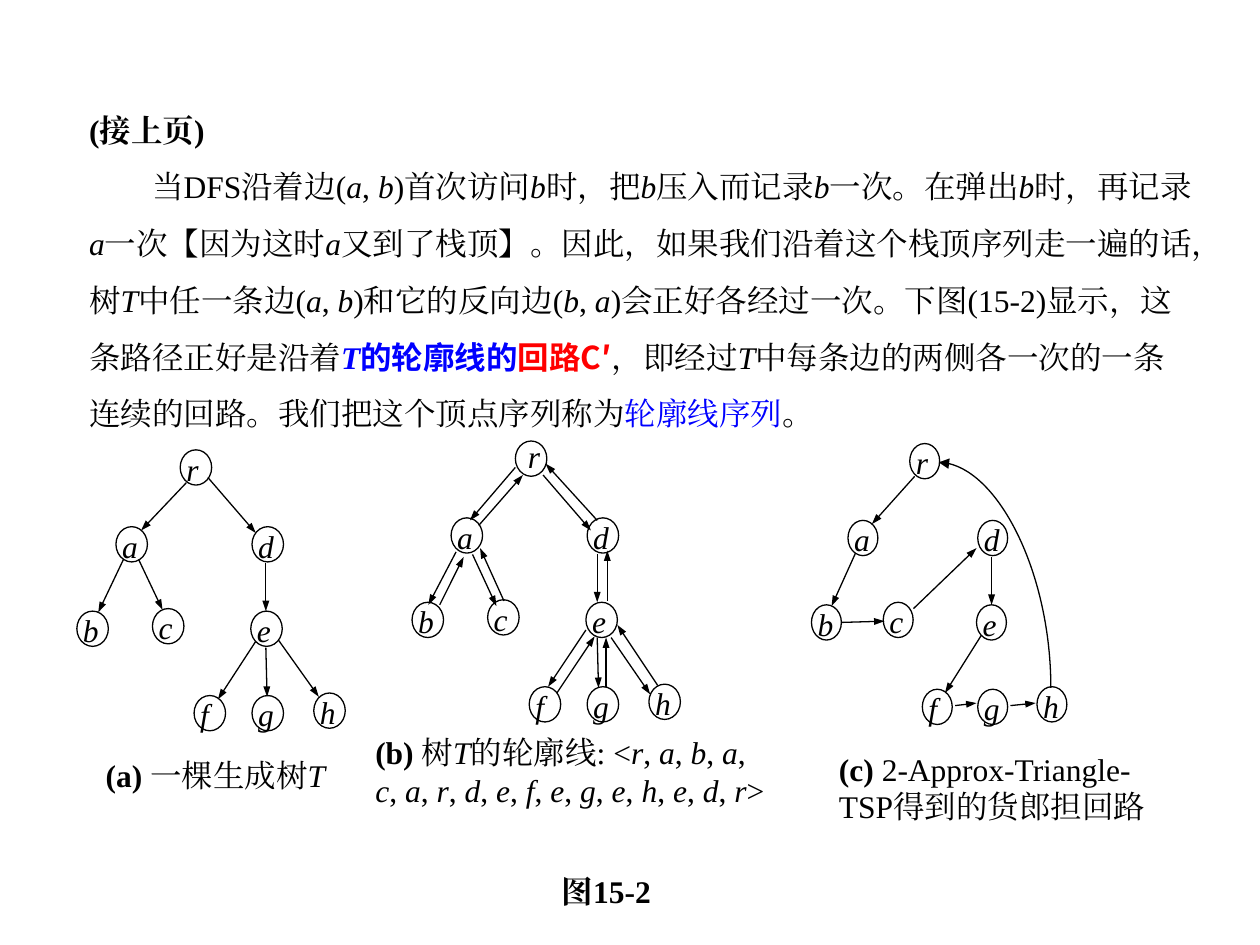
from dataclasses import dataclass

from lxml.etree import SubElement
from pptx import Presentation
from pptx.dml.color import RGBColor
from pptx.enum.shapes import MSO_CONNECTOR, MSO_SHAPE
from pptx.enum.text import MSO_ANCHOR
from pptx.oxml.ns import qn
from pptx.util import Emu, Pt


@dataclass(frozen=True)
class Theme:
    black: RGBColor = RGBColor(0, 0, 0)
    blue: RGBColor = RGBColor(0, 0, 255)
    red: RGBColor = RGBColor(255, 0, 0)
    serif: str = "Times New Roman"
    sans: str = "Noto Sans CJK SC"
    text_size: Pt = Pt(18)
    line_width: Pt = Pt(0.75)


THEME = Theme()
PX = 9144
SLIDE_SIZE = (1000, 750)
BOLD = {"bold": True}
BLUE = {"color": THEME.blue}

BODY_BOX = (61, 68, 897, 277)
BODY = [
    [("(接上页)", BOLD)],
    [
        ("当DFS沿着边(*a*, *b*)首次访问*b*时，把*b*压入而记录*b*一次。"
         "在弹出*b*时，再记录*a*一次【因为这时*a*又到了栈顶】。"
         "因此，如果我们沿着这个栈顶序列走一遍的话，树*T*中任一条边(*a*, *b*)"
         "和它的反向边(*b*, *a*)会正好各经过一次。"
         "下图(15-2)显示，这条路径正好是沿着", {}),
        ("*T*", BOLD | BLUE),
        ("的轮廓线的", BOLD | BLUE | {"name": THEME.sans}),
        ("回路C′", BOLD | {"color": THEME.red, "name": THEME.sans}),
        ("，即经过*T*中每条边的两侧各一次的一条连续的回路。"
         "我们把这个顶点序列称为", {}),
        ("轮廓线序列", BLUE),
        ("。", {}),
    ],
]
TITLE_BOX = (436, 687, 173, 40)
TITLE = [[("图15-2", BOLD)]]

NODES = {
    "r": (143, 357), "a": (92, 418), "d": (200, 418),
    "b": (61, 485), "c": (121, 483), "e": (199, 485),
    "h": (249, 550), "g": (200, 552), "f": (154, 552),
}
NODE_SIZE = (25, 28)
LABEL_SIZE = (35, 40)
LABEL_OFFSET = (-5, -5)
TOUR = "rabacardefegehedr"

FIGURES = [
    {
        "scale": 1, "shift": (0, 0), "label_offsets": {},
        "arrows": [
            (148, 383, 112, 421), (98, 444, 78, 486), (165, 379, 203, 423),
            (110, 444, 129, 484), (211, 447, 211, 485), (203, 509, 173, 555),
            (211, 514, 212, 553), (221, 508, 253, 553),
        ],
        "caption": [("(a) ", BOLD), ("一棵生成树*T*", {})],
        "caption_box": (74, 595, 197, 39),
    },
    {
        "scale": 1, "shift": (266, -7), "label_offsets": {"r": (0, -8)},
        "arrows": [
            (409, 371, 373, 413), (362, 438, 340, 480), (431, 377, 469, 421),
            (375, 440, 394, 481), (474, 440, 474, 478), (465, 500, 435, 545),
            (474, 506, 475, 546), (485, 506, 516, 551), (380, 417, 415, 377),
            (349, 480, 368, 442), (400, 477, 381, 435), (442, 550, 472, 505),
            (481, 545, 481, 506), (522, 544, 490, 496), (482, 477, 482, 437),
            (474, 413, 433, 368),
        ],
        "caption": [
            ("(b) ", BOLD),
            ("树*T*的轮廓线: <" + ", ".join(f"*{name}*" for name in TOUR) + ">", {}),
        ],
        "caption_box": (288, 577, 332, 61),
    },
    {
        "scale": 0.95, "shift": (586, -5), "label_offsets": {},
        "arrows": [
            (726, 378, 692, 416), (679, 439, 660, 481), (725, 483, 775, 435),
            (668, 494, 702, 493), (787, 442, 787, 480), (779, 504, 750, 550),
            (758, 560, 775, 558), (802, 560, 822, 558),
        ],
        "caption": [("(c) ", BOLD), ("2-Approx-Triangle-TSP得到的货郎担回路", {})],
        "caption_box": (656, 590, 285, 58),
    },
]
RETURN_CURVE = (700, 501, 879, 412)
QUARTER_TURN_LEFT = 270 * 60000


def emu(values):
    return [Emu(round(value * PX)) for value in values]


def add_run(paragraph, text, style):
    values = {"name": THEME.serif, "size": THEME.text_size, "bold": False,
              "italic": False, "color": THEME.black} | style
    run = paragraph.add_run()
    run.text = text
    run.font.color.rgb = values.pop("color")
    for attribute, value in values.items():
        setattr(run.font, attribute, value)
    east_asian = SubElement(run.font._element, qn("a:ea"))
    east_asian.set("typeface", values["name"])


def add_text(shapes, box, paragraphs, line_spacing=None, indents=()):
    frame = shapes.add_textbox(*emu(box)).text_frame
    frame.word_wrap = True
    frame.vertical_anchor = MSO_ANCHOR.TOP
    for index, runs in enumerate(paragraphs):
        paragraph = frame.add_paragraph() if index else frame.paragraphs[0]
        if line_spacing:
            paragraph.line_spacing = line_spacing
        if indents:
            properties = paragraph._p.get_or_add_pPr()
            properties.set("indent", str(indents[index] * PX))
        for marked_text, style in runs:
            for part, text in enumerate(marked_text.split("*")):
                if text:
                    add_run(paragraph, text, style | {"italic": part % 2 == 1})


def style_line(line):
    line.color.rgb = THEME.black
    line.width = THEME.line_width


def add_arrow(shapes, ends, kind=MSO_CONNECTOR.STRAIGHT, head_width="sm"):
    connector = shapes.add_connector(kind, *emu(ends))
    style_line(connector.line)
    head = SubElement(connector.line._get_or_add_ln(), qn("a:tailEnd"))
    for attribute, value in {"type": "triangle", "w": head_width, "len": "med"}.items():
        head.set(attribute, value)
    SubElement(connector._element.spPr, qn("a:effectLst"))
    return connector


def add_node(shapes, name, position, scale, label_offset):
    left, top = position
    label_box = (left + label_offset[0], top + label_offset[1], *LABEL_SIZE)
    add_text(shapes, label_box, [[(f"*{name}*", {})]])
    width, height = NODE_SIZE
    node = shapes.add_shape(MSO_SHAPE.OVAL, *emu((left, top, width * scale, height)))
    node.shadow.inherit = False
    node.fill.background()
    style_line(node.line)


def add_figure(slide, figure):
    shapes = slide.shapes.add_group_shape().shapes
    scale = figure["scale"]
    shift_x, shift_y = figure["shift"]
    for name, (left, top) in NODES.items():
        position = (round(left * scale + shift_x), top + shift_y)
        offset = figure["label_offsets"].get(name, LABEL_OFFSET)
        add_node(shapes, name, position, scale, offset)
    for ends in figure["arrows"]:
        add_arrow(shapes, ends)
    add_text(shapes, figure["caption_box"], [figure["caption"]])


def add_return_curve(slide):
    curve = add_arrow(slide.shapes, RETURN_CURVE, MSO_CONNECTOR.CURVE, "med")
    properties = curve._element.spPr
    properties.find(qn("a:xfrm")).set("rot", str(QUARTER_TURN_LEFT))
    properties.find(qn("a:prstGeom")).set("prst", "curvedConnector2")


def main():
    presentation = Presentation()
    presentation.slide_width, presentation.slide_height = emu(SLIDE_SIZE)
    slide = presentation.slides.add_slide(presentation.slide_layouts[6])
    add_text(slide.shapes, BODY_BOX, BODY, line_spacing=1.5, indents=(0, 50))
    for figure in FIGURES:
        add_figure(slide, figure)
    add_text(slide.shapes, TITLE_BOX, TITLE)
    add_return_curve(slide)
    presentation.save("out.pptx")


if __name__ == "__main__":
    main()
